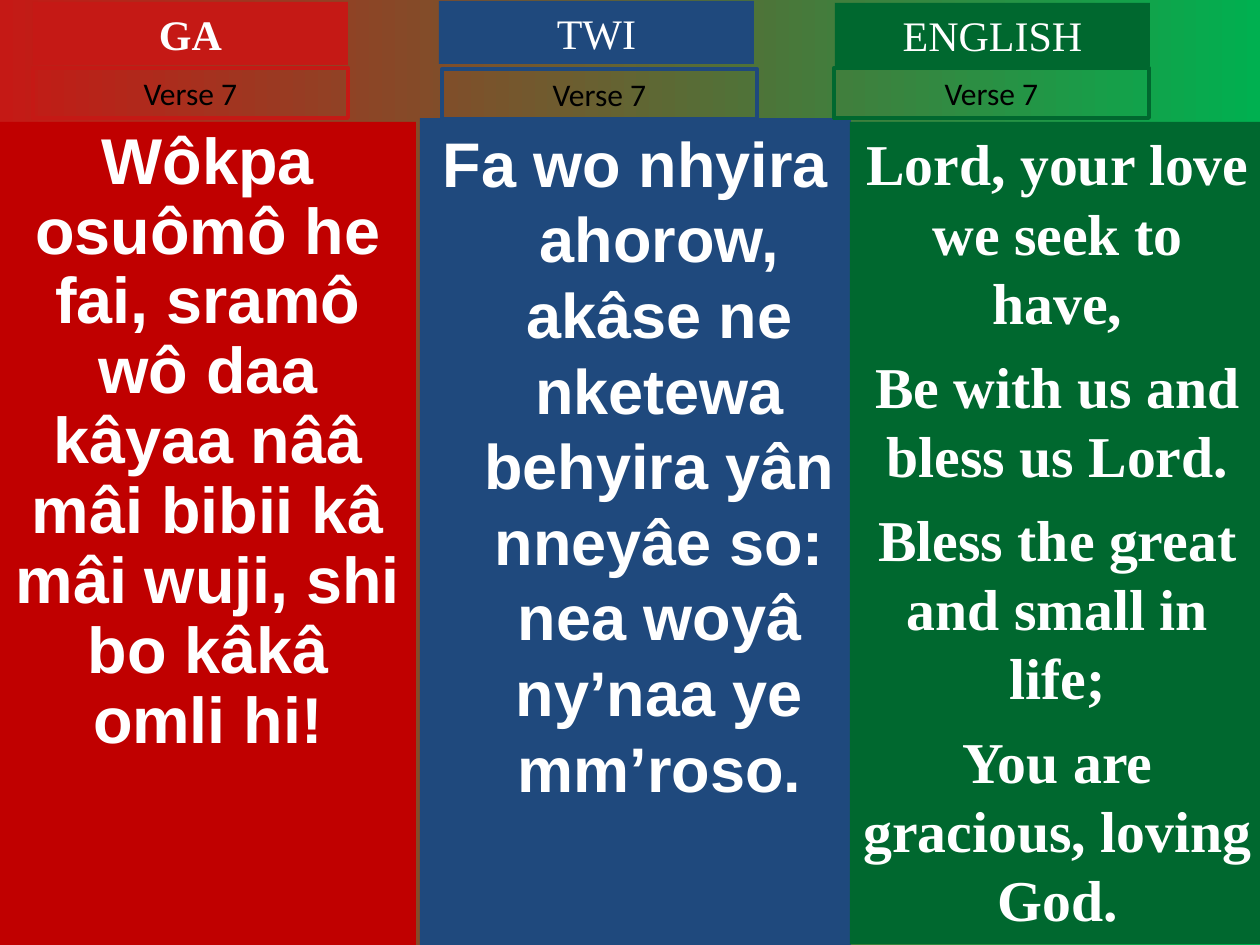
from pptx import Presentation
from pptx.dml.color import RGBColor
from pptx.enum.shapes import MSO_SHAPE
from pptx.enum.text import MSO_ANCHOR, PP_ALIGN
from pptx.util import Emu, Pt

PX = 914400 / 126
COLORS = {
    "ga": "C00000", "ga_tab": "C51915", "twi": "1F497D", "english": "00682F",
    "backdrop_end": "00B050", "white": "FFFFFF", "black": "000000",
}
GA = ["Wôkpa osuômô he fai, sramô wô daa kâyaa nââ mâi bibii kâ mâi wuji, shi bo kâkâ omli hi!"]
TWI = ["Fa wo nhyira ahorow, akâse ne nketewa behyira yân nneyâe so: nea woyâ ny’naa ye mm’roso."]
ENGLISH = [
    "Lord, your love we seek to have,",
    "Be with us and bless us Lord.",
    "Bless the great and small in life;",
    "You are gracious, loving God.",
]


def px(length):
    """Turn pixels into EMU."""
    return Emu(round(length * PX))


def rgb(name):
    """Look up a named colour."""
    return RGBColor.from_string(COLORS[name])


def add_panel(slide, box, lines, font, size, ink="white", fill=None, border=None,
              bold=False, spacing=1.0, gap=0, hanging=0):
    """Draw a rectangle with centred, top-anchored paragraphs."""
    panel = slide.shapes.add_shape(MSO_SHAPE.RECTANGLE, *map(px, box))
    panel.shadow.inherit = False
    if fill:
        panel.fill.solid()
        panel.fill.fore_color.rgb = rgb(fill)
    else:
        panel.fill.background()
    if border:
        panel.line.color.rgb = rgb(border)
        panel.line.width = Pt(2.25)
    else:
        panel.line.fill.background()
    frame = panel.text_frame
    frame.word_wrap = True
    frame.vertical_anchor = MSO_ANCHOR.TOP
    frame.text = "\n".join(lines)
    for index, paragraph in enumerate(frame.paragraphs):
        paragraph.alignment = PP_ALIGN.CENTER
        paragraph.line_spacing = spacing
        if index:
            paragraph.space_before = Pt(gap)
        if hanging:
            properties = paragraph._p.get_or_add_pPr()
            properties.set("marL", str(px(hanging)))
            properties.set("indent", str(-px(hanging)))
        for run in paragraph.runs:
            run.font.name = font
            run.font.size = Pt(size)
            run.font.bold = bold
            run.font.color.rgb = rgb(ink)


def add_heading(slide, left, top, language, color, verse_left, verse_top, bold=False):
    """Place a language tab and its outlined verse label."""
    add_panel(slide, (left, top, 315, 63), [language], "Times New Roman", 24,
              fill=color, bold=bold)
    add_panel(slide, (verse_left, verse_top, 315, 50), ["Verse 7"], "Calibri", 18,
              ink="black", border=color)


def add_backdrop(slide):
    """Fill the background with a left-to-right gradient."""
    fill = slide.background.fill
    fill.gradient()
    fill.gradient_angle = 0
    for stop, position, color in zip(fill.gradient_stops, (0, 1), ("ga_tab", "backdrop_end")):
        stop.position = position
        stop.color.rgb = rgb(color)


def main():
    """Build the three-language verse slide."""
    deck = Presentation()
    deck.slide_width, deck.slide_height = px(1260), px(945)
    slide = deck.slides.add_slide(deck.slide_layouts[6])
    add_backdrop(slide)
    add_panel(slide, (0, 122, 416, 823), GA, "Arial", 37, fill="ga", bold=True, spacing=0.9)
    add_panel(slide, (420, 118, 431, 827), TWI, "Arial", 36, fill="twi", bold=True, hanging=48)
    add_panel(slide, (850, 122, 415, 822), ENGLISH, "Times New Roman", 33, fill="english",
              bold=True, gap=8.2)
    add_heading(slide, 33, 2, "GA", "ga_tab", 33, 68, bold=True)
    add_heading(slide, 439, 1, "TWI", "twi", 442, 69)
    add_heading(slide, 835, 3, "ENGLISH", "english", 834, 68)
    deck.save("out.pptx")


if __name__ == "__main__":
    main()
